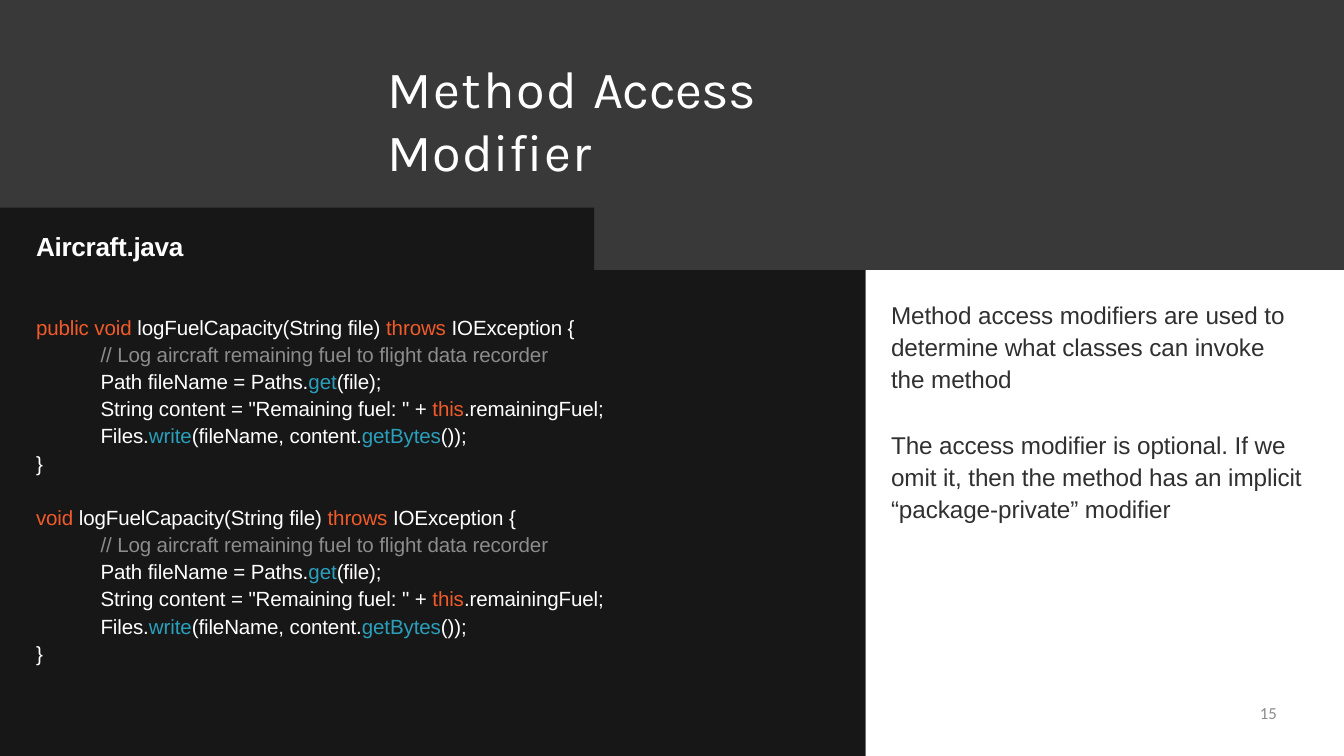
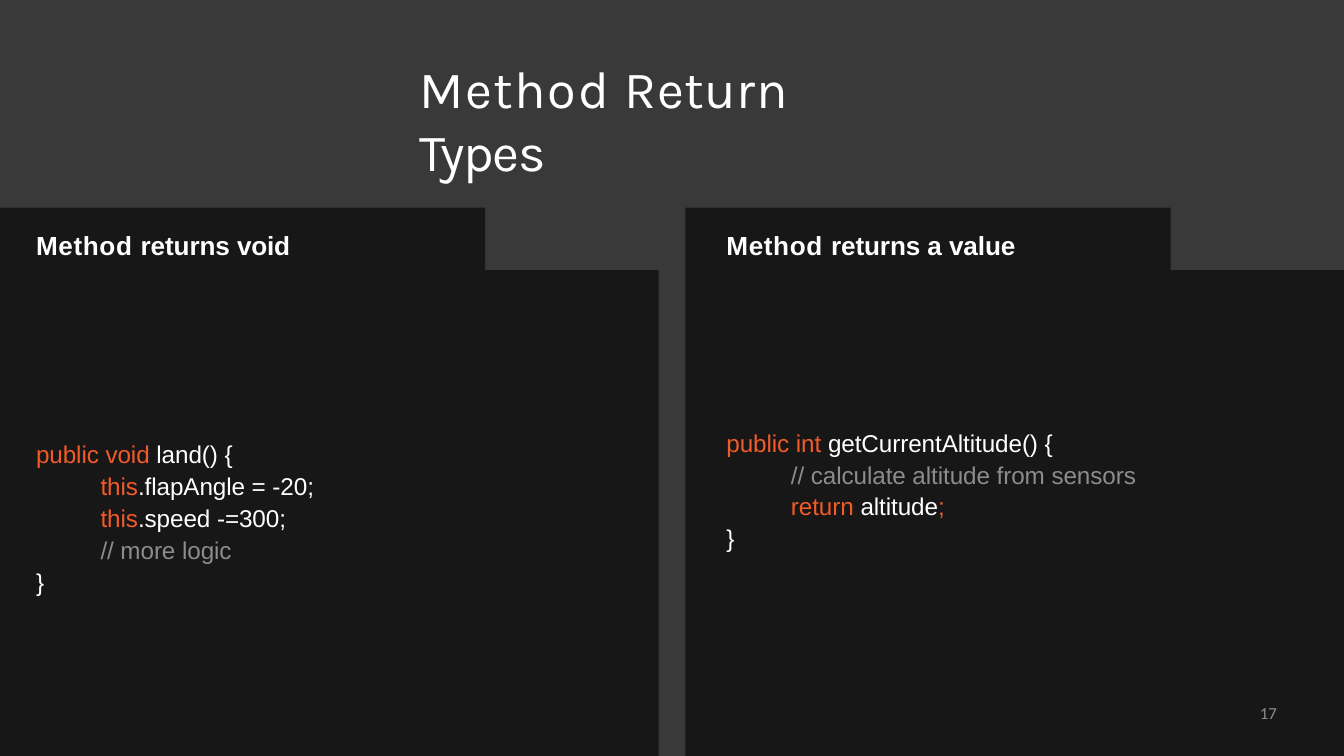
from pptx import Presentation
from pptx.dml.color import RGBColor
from pptx.enum.text import MSO_ANCHOR, MSO_AUTO_SIZE, PP_ALIGN
from pptx.util import Pt

SLIDE_WIDTH, SLIDE_HEIGHT = 1440, 810
TAB_TOP, BODY_TOP, CODE_TOP = 222.5, 289.4, 306.7
HEADING_INSET = 23.8
CODE_INDENT = 69.1
BODY_SPACING = -0.1

BACKDROP = RGBColor(0x39, 0x39, 0x39)
PANEL = RGBColor(0x17, 0x17, 0x17)
WHITE = RGBColor(0xFF, 0xFF, 0xFF)
KEYWORD = RGBColor(0xF1, 0x5B, 0x2A)
METHOD = RGBColor(0x2A, 0x9F, 0xBC)
GREY = RGBColor(0x8C, 0x8C, 0x8C)
PROSE = RGBColor(0x30, 0x30, 0x30)

LOG_BODY = [
    (1, [("// Log aircraft remaining fuel to flight data recorder", GREY)]),
    (1, [("Path fileName = Paths.", WHITE), ("get", METHOD), ("(file);", WHITE)]),
    (1, [("String content = \"Remaining fuel: \" + ", WHITE), ("this", KEYWORD),
         (".remainingFuel;", WHITE)]),
    (1, [("Files.", WHITE), ("write", METHOD), ("(fileName, content.", WHITE),
         ("getBytes", METHOD), ("());", WHITE)]),
    (0, [("}", WHITE)]),
]
LAND_CODE = [
    (0, [("public void ", KEYWORD), ("land() {", WHITE)]),
    (1, [("this", KEYWORD), (".flapAngle = -20;", WHITE)]),
    (1, [("this", KEYWORD), (".speed -=300;", WHITE)]),
    (1, [("// more logic", GREY)]),
    (0, [("}", WHITE)]),
]
ALTITUDE_CODE = [
    (0, [("public int ", KEYWORD), ("getCurrentAltitude() ", WHITE), ("{", WHITE)]),
    (1, [("// calculate altitude from sensors", GREY)]),
    (1, [("return ", KEYWORD), ("altitude", WHITE), (";", KEYWORD)]),
    (0, [("}", WHITE)]),
]
ACCESS_NOTES = [
    ["Method access modifiers are used to ", "determine what classes can invoke ",
     "the method"],
    ["The access modifier is optional. If we ", "omit it, then the method has an implicit ",
     "“package-private” modifier"],
]


def log_method(modifier):
    """Return the code lines of logFuelCapacity with the given modifier."""
    signature = [(modifier, KEYWORD), ("logFuelCapacity(String file) ", WHITE),
                 ("throws ", KEYWORD), ("IOException {", WHITE)]
    return [(0, signature)] + LOG_BODY


def add_run(paragraph, text, size, color, font="Arial", bold=False, spacing=BODY_SPACING):
    """Add one formatted run with letter spacing in points."""
    run = paragraph.add_run()
    run.text = text
    run.font.name = font
    run.font.size = Pt(size)
    run.font.bold = bold
    run.font.color.rgb = color
    run.font._element.set("spc", str(round(spacing * 100)))


def place(shape, left, top, width, height):
    """Move and size a shape."""
    shape.left, shape.top, shape.width, shape.height = map(Pt, (left, top, width, height))


def set_frame(frame, inset_left=0, inset_top=0):
    """Make a frame wrap, start at the top and use the given insets."""
    frame.word_wrap = True
    frame.vertical_anchor = MSO_ANCHOR.TOP
    frame.margin_left, frame.margin_top = Pt(inset_left), Pt(inset_top)
    frame.margin_right = frame.margin_bottom = 0


def add_text_frame(slide, left, top, width, height, **insets):
    """Add a text box and return its frame."""
    box = slide.shapes.add_textbox(*map(Pt, (left, top, width, height)))
    set_frame(box.text_frame, **insets)
    return box.text_frame


def add_paragraph(frame):
    """Return the empty first paragraph of a frame, or a new one."""
    first = frame.paragraphs[0]
    return frame.add_paragraph() if first.runs else first


def paint(shape, color):
    """Give a shape a flat fill without line or shadow."""
    shape.fill.solid()
    shape.fill.fore_color.rgb = color
    shape.line.fill.background()
    shape.shadow.inherit = False


def add_tab_panel(slide, left, width, tab_width):
    """Draw a dark panel with a tab at its top left."""
    outline = [(left + tab_width, TAB_TOP), (left + tab_width, BODY_TOP),
               (left + width, BODY_TOP), (left + width, SLIDE_HEIGHT), (left, SLIDE_HEIGHT)]
    builder = slide.shapes.build_freeform(Pt(left), Pt(TAB_TOP))
    builder.add_line_segments([(Pt(x), Pt(y)) for x, y in outline], close=True)
    paint(builder.convert_to_shape(), PANEL)


def add_heading(frame, words):
    """Write a bold panel heading from (text, spacing) pairs."""
    paragraph = add_paragraph(frame)
    for text, spacing in words:
        add_run(paragraph, text, 28, WHITE, bold=True, spacing=spacing)


def add_code(frame, lines, size, pitch, gap=0):
    """Write code one paragraph a line, with a gap above the first."""
    for number, (level, parts) in enumerate(lines):
        paragraph = add_paragraph(frame)
        paragraph.line_spacing = Pt(pitch)
        if number == 0 and gap:
            paragraph.space_before = Pt(gap)
        if level:
            paragraph._p.get_or_add_pPr().set("marL", str(Pt(level * CODE_INDENT)))
        for text, color in parts:
            add_run(paragraph, text, size, color)


def add_notes_text(slide, notes):
    """Write the explanation beside the code."""
    frame = add_text_frame(slide, 954.7, 318.2, 448, 242, inset_top=0.7)
    for number, lines in enumerate(notes):
        paragraph = add_paragraph(frame)
        paragraph.line_spacing = Pt(34.2)
        if number:
            paragraph.space_before = Pt(36.5)
        for position, line in enumerate(lines):
            if position:
                paragraph.add_line_break()
            add_run(paragraph, line, 26, PROSE)


def add_titled_slide(deck, words, left, width):
    """Add a title-only slide with a title of (text, spacing) pairs."""
    slide = deck.slides.add_slide(deck.slide_layouts[5])
    title = slide.shapes.title
    place(title, left, 59.8, width, 69.1)
    set_frame(title.text_frame, inset_left=0.7, inset_top=0.7)
    title.text_frame.auto_size = MSO_AUTO_SIZE.SHAPE_TO_FIT_TEXT
    paragraph = title.text_frame.paragraphs[0]
    paragraph.alignment = PP_ALIGN.LEFT
    for text, spacing in words:
        add_run(paragraph, text, 56, WHITE, font="Karla", spacing=spacing)
    return slide


def add_page_number(slide, number):
    """Write the page number at the bottom right."""
    paragraph = add_text_frame(slide, 1036.8, 753.1, 331.2, 40.3).paragraphs[0]
    paragraph.alignment = PP_ALIGN.RIGHT
    add_run(paragraph, str(number), 18, GREY, font="Calibri", spacing=0)


def build_access_modifier(deck):
    """Build the slide on access modifiers."""
    slide = add_titled_slide(
        deck, [("Method ", 1.7), ("Access ", -0.6), ("Modifier", 0.8)], 414.7, 610.6)
    panel_width = 927.4
    add_tab_panel(slide, 0, panel_width, 636.5)
    notes_panel = slide.shapes.add_shape(1, 0, 0, 0, 0)
    place(notes_panel, panel_width, BODY_TOP, SLIDE_WIDTH - panel_width,
          SLIDE_HEIGHT - BODY_TOP)
    paint(notes_panel, WHITE)
    listing = add_text_frame(slide, 37.4, 244.8, 618.5, 464.4, inset_left=1.2, inset_top=1.5)
    add_heading(listing, [("Aircraft.java", -0.3)])
    add_code(listing, log_method("public void "), 22, 29.1, gap=54.5)
    add_code(listing, log_method("void "), 22, 29.1, gap=29.1)
    add_notes_text(slide, ACCESS_NOTES)
    add_page_number(slide, 15)


def build_return_types(deck):
    """Build the slide that compares return types."""
    slide = add_titled_slide(
        deck, [("Method ", 1.7), ("Return ", 0.5), ("Types", -1.4)], 448.6, 543.6)
    width, tab_width = 705.6, 519.8
    columns = [
        (0, 38.6, [("void", -0.2)], LAND_CODE),
        (SLIDE_WIDTH - width, 43.9, [("a ", -0.2), ("value", -0.1)], ALTITUDE_CODE),
    ]
    for left, inset, returned, code in columns:
        add_tab_panel(slide, left, width, tab_width)
        body = add_text_frame(slide, left, CODE_TOP, width, SLIDE_HEIGHT - CODE_TOP,
                              inset_left=inset, inset_top=161.5)
        add_code(body, code, 26, 34.1)
        tab = add_text_frame(slide, left, TAB_TOP, tab_width, BODY_TOP - TAB_TOP,
                             inset_left=inset, inset_top=HEADING_INSET)
        add_heading(tab, [("Method ", 0.7), ("returns ", -0.1)] + returned)
    add_page_number(slide, 17)


def main():
    """Build and save the deck."""
    deck = Presentation()
    deck.slide_width, deck.slide_height = Pt(SLIDE_WIDTH), Pt(SLIDE_HEIGHT)
    backdrop = deck.slide_master.background.fill
    backdrop.solid()
    backdrop.fore_color.rgb = BACKDROP
    build_access_modifier(deck)
    build_return_types(deck)
    deck.save("out.pptx")


if __name__ == "__main__":
    main()
